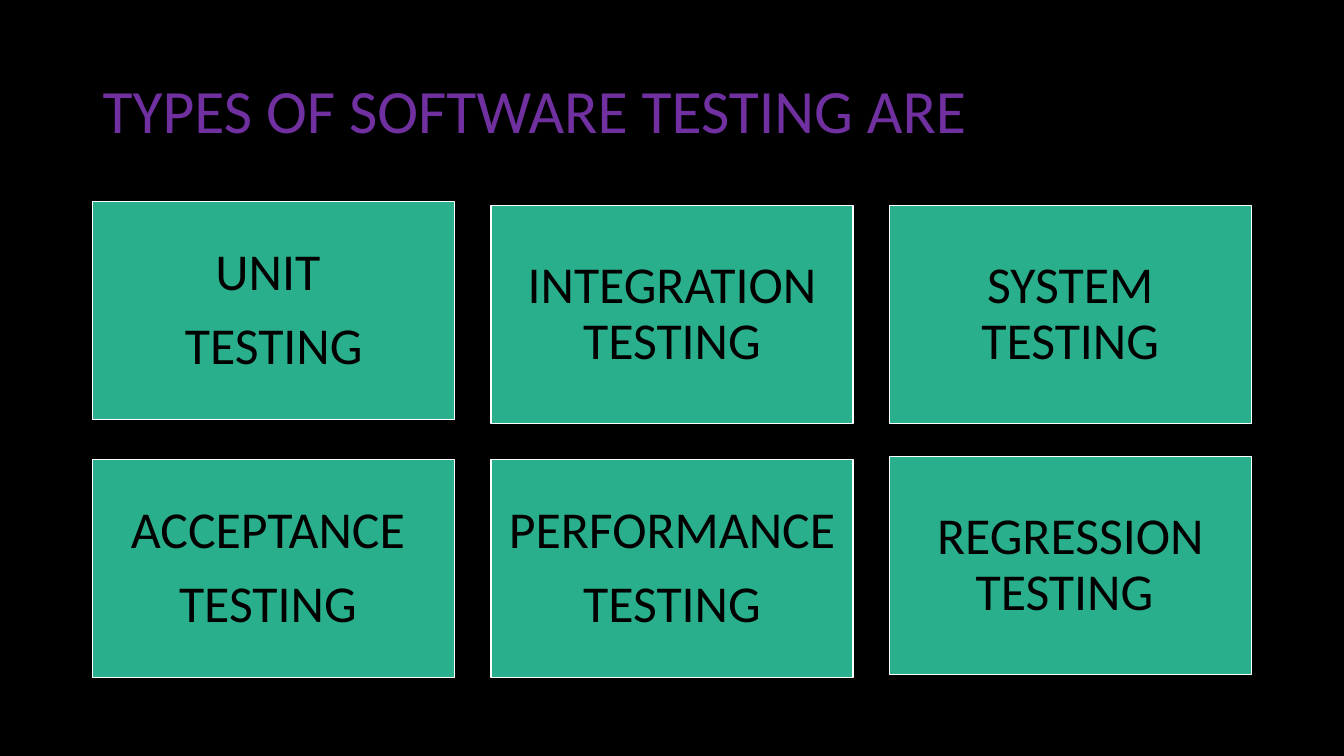
from pptx import Presentation
from pptx import util as u
from pptx.dml.color import RGBColor
from pptx.enum import shapes, text

# Lines of each card, and its shift down from the grid row in inches
CARDS = [
    (["UNIT ", "TESTING"], -0.04),
    (["INTEGRATION TESTING"], 0),
    (["SYSTEM TESTING"], 0),
    (["ACCEPTANCE ", "TESTING "], 0),
    (["PERFORMANCE ", "TESTING"], 0),
    (["REGRESSION TESTING "], -0.03),
]


def tint(code):
    return RGBColor.from_string(code)


class Deck:
    font = "Calibri"
    back, ink, head, card, edge = "000000", "000000", "7030A0", "29AF8C", "FFFFFF"
    cols = 3
    left, top = 0.92, 2.04
    wide, high = 3.59, 2.16
    step, drop = 3.95, 2.52

    def __init__(self):
        self.prs = Presentation()
        self.prs.slide_width = u.Inches(13.33)
        self.prs.slide_height = u.Inches(7.5)
        self.slide = self.prs.slides.add_slide(self.prs.slide_layouts[6])
        fill = self.slide.background.fill
        fill.solid()
        fill.fore_color.rgb = tint(self.back)

    def label(self, shape, lines, size, color, inset, **form):
        """Fill a shape with paragraphs; form holds paragraph settings."""
        frame = shape.text_frame
        frame.word_wrap = True
        frame.vertical_anchor = text.MSO_ANCHOR.MIDDLE
        for side, gap in zip(("left", "right", "top", "bottom"), inset):
            setattr(frame, f"margin_{side}", u.Inches(gap))
        frame.text = "\n".join(lines)
        for para in frame.paragraphs:
            for key, value in {"line_spacing": 0.9, **form}.items():
                setattr(para, key, value)
            for key, value in {"name": self.font, "size": u.Pt(size)}.items():
                setattr(para.font, key, value)
            para.font.color.rgb = tint(color)

    def title(self, line):
        box = self.slide.shapes.add_textbox(
            *map(u.Inches, (self.left, 0.4, 11.5, 1.45)))
        self.label(box, [line], 44, self.head, (0.1, 0.1, 0.05, 0.05))

    def tile(self, spot, lines, shift):
        """Draw one card at a numbered spot of the grid."""
        row, col = divmod(spot, self.cols)
        x = self.left + col * self.step
        y = self.top + row * self.drop + shift
        box = self.slide.shapes.add_shape(
            shapes.MSO_SHAPE.RECTANGLE,
            *map(u.Inches, (x, y, self.wide, self.high)))
        box.shadow.inherit = False
        box.fill.solid()
        box.fill.fore_color.rgb = tint(self.card)
        box.line.color.rgb = tint(self.edge)
        box.line.width = u.Pt(1)
        self.label(box, lines, 37, self.ink, [0.15] * 4,
                   alignment=text.PP_ALIGN.CENTER, space_after=u.Pt(13))


def main():
    deck = Deck()
    deck.title("TYPES OF SOFTWARE TESTING ARE")
    for spot, (lines, shift) in enumerate(CARDS):
        deck.tile(spot, lines, shift)
    deck.prs.save("out.pptx")


if __name__ == "__main__":
    main()
